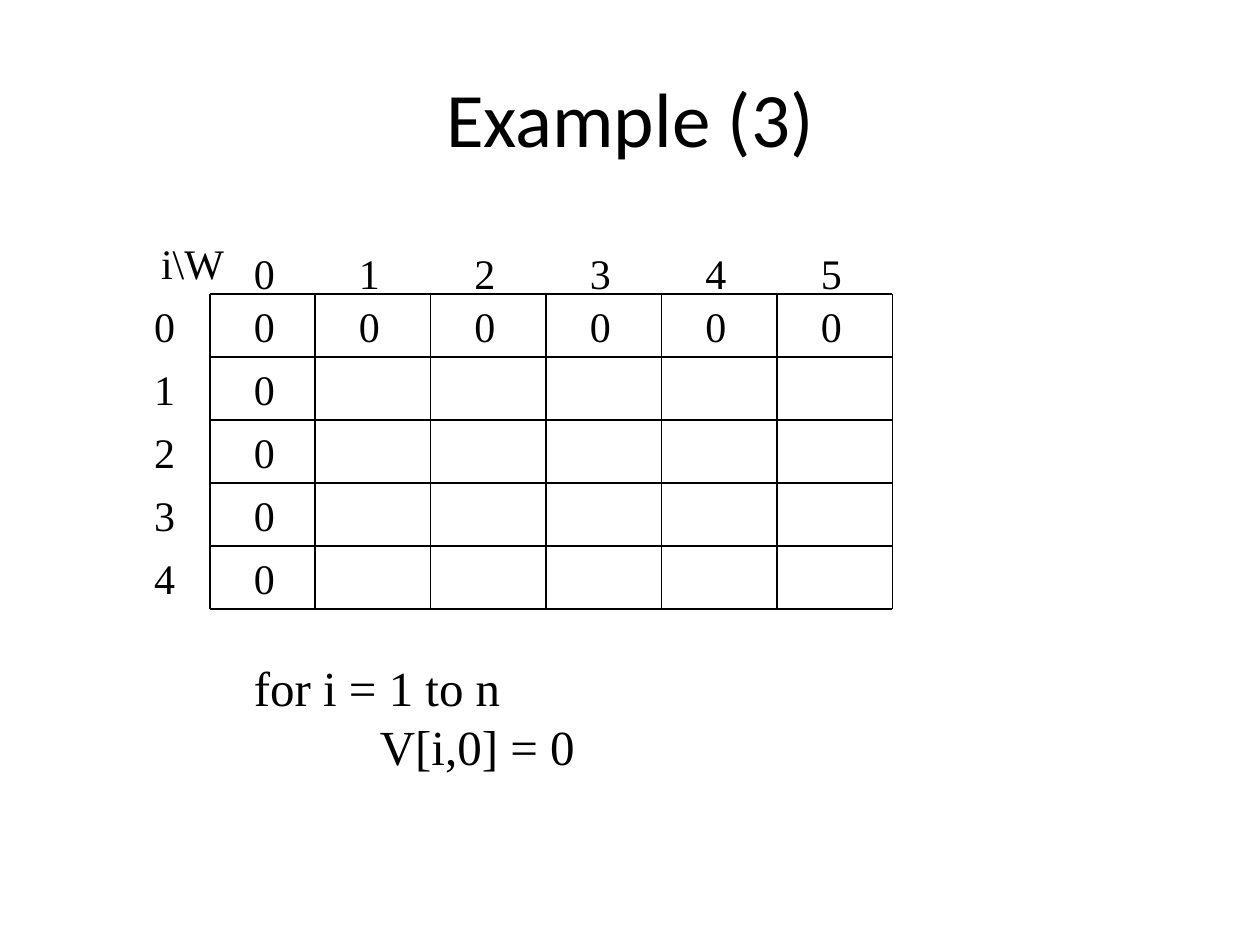
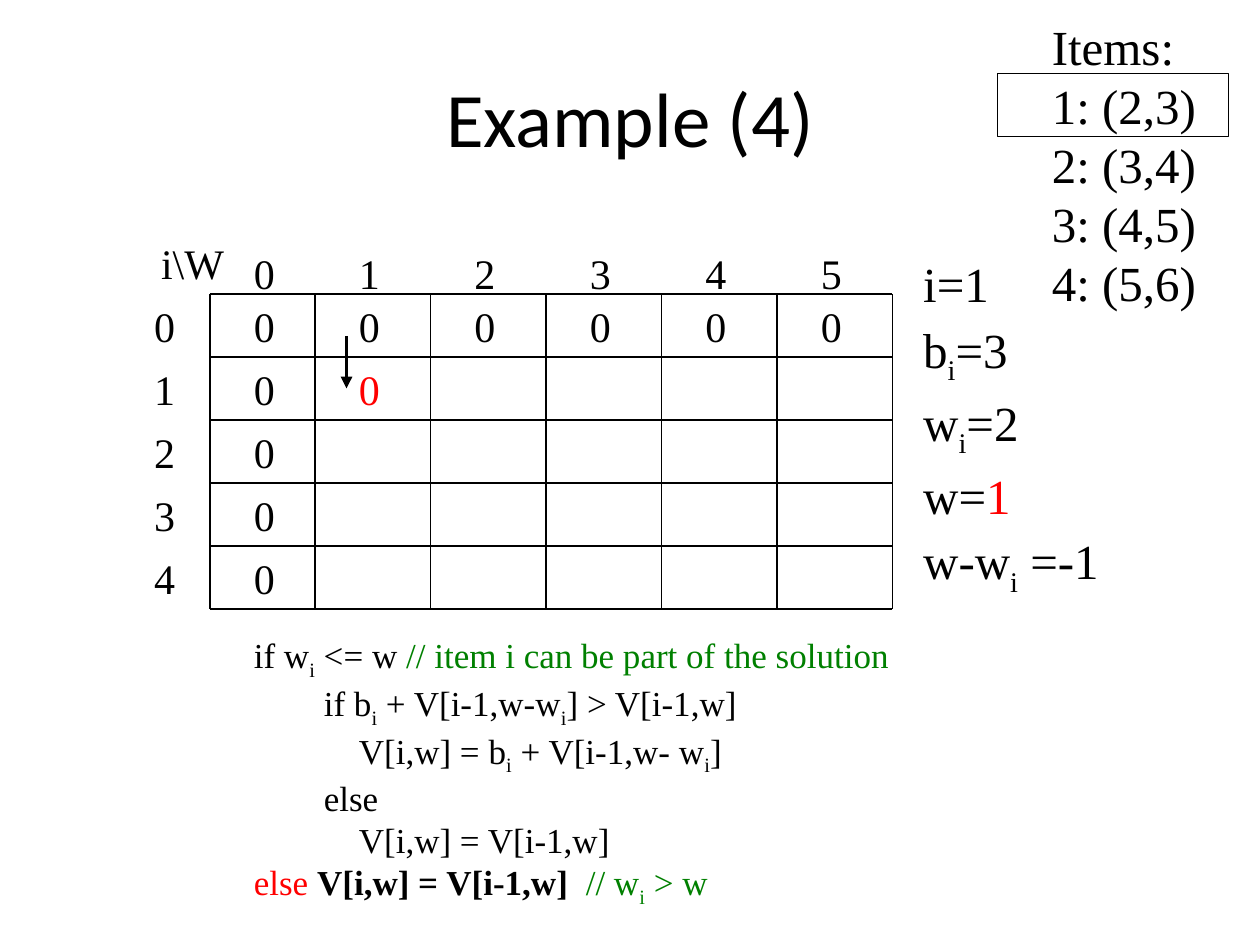
"""Build two slides that fill a knapsack table step by step."""
from lxml.etree import SubElement
from pptx import Presentation
from pptx.dml.color import RGBColor
from pptx.enum.shapes import MSO_CONNECTOR, MSO_SHAPE
from pptx.enum.text import MSO_ANCHOR as Anchor, MSO_AUTO_SIZE as AutoSize, PP_ALIGN as Align
from pptx.oxml.ns import qn
from pptx.util import Pt

BLACK, RED, GREEN = "000000", "FF0000", "008000"
TITLE_FONT, BODY_FONT = "Calibri", "Times New Roman"
COLUMN_EDGES = [120] + [180 + 66 * step for step in range(6)]
ROW_EDGES = [168 + 36 * step for step in range(6)]
CELL_INSET, HEADER_TOP, LABEL_LEFT = 18, 138, 81
DIGIT_WIDTH, DIGIT_HEIGHT = 26.5, 36


def color(value):
    """Turn a hex string into a colour."""
    return RGBColor.from_string(value)


def subscript(text="i", hex_color=BLACK):
    """Describe a lowered run."""
    return text, hex_color, {"subscript": True}


class SlideBuilder:
    """Hold the shared style and the current slide."""

    def __init__(self):
        """Start a presentation."""
        self.presentation = Presentation()
        self.presentation.slide_width = Pt(720)
        self.presentation.slide_height = Pt(540)
        self.slide = None

    def add_run(self, paragraph, piece, size, font_name=BODY_FONT):
        """Add a run given as a string or as text, colour and format."""
        text, hex_color, extra = ((piece, BLACK, {}) if isinstance(piece, str)
                                  else (*piece, {})[:3])
        run = paragraph.add_run()
        run.text = text
        style = {"name": font_name, "size": Pt(size), "bold": extra.get("bold", False)}
        for name, value in style.items():
            setattr(run.font, name, value)
        run.font.color.rgb = color(hex_color)
        if extra.get("subscript"):
            run._r.get_or_add_rPr().set("baseline", "-25000")

    def new_slide(self, title):
        """Add a slide with its title."""
        layout = self.presentation.slide_layouts[5]
        self.slide = self.presentation.slides.add_slide(layout)
        shape = self.slide.shapes.title
        place = {"left": 36, "top": 21.6, "width": 648, "height": 90}
        for name, value in place.items():
            setattr(shape, name, Pt(value))
        frame = shape.text_frame
        frame.auto_size = AutoSize.NONE
        frame.vertical_anchor = Anchor.MIDDLE
        frame.paragraphs[0].alignment = Align.CENTER
        self.add_run(frame.paragraphs[0], title, 44, TITLE_FONT)

    def text(self, left, top, width, height, lines, size, wrap=True, **paragraph_format):
        """Add a text box from lines given as an indent and its runs."""
        box = self.slide.shapes.add_textbox(Pt(left), Pt(top), Pt(width), Pt(height))
        frame = box.text_frame
        frame.word_wrap = wrap
        frame.auto_size = AutoSize.SHAPE_TO_FIT_TEXT
        for index, (indent, *pieces) in enumerate(lines):
            paragraph = frame.add_paragraph() if index else frame.paragraphs[0]
            for name, value in paragraph_format.items():
                setattr(paragraph, name, value)
            if indent:
                paragraph._p.get_or_add_pPr().set("marL", str(Pt(indent)))
            for piece in pieces:
                self.add_run(paragraph, piece, size)

    def digit(self, left, top, value, hex_color=BLACK):
        """Add one number of the table."""
        self.text(left, top, DIGIT_WIDTH, DIGIT_HEIGHT,
                  [(0, (str(value), hex_color))], 24, wrap=False)

    def cell(self, row, column, value, hex_color=BLACK):
        """Write a value into a table cell."""
        self.digit(COLUMN_EDGES[column] + CELL_INSET, ROW_EDGES[row], value, hex_color)

    def line(self, start, end, width=0.75, arrow=False):
        """Draw a straight line, with an arrowhead on request."""
        connector = self.slide.shapes.add_connector(
            MSO_CONNECTOR.STRAIGHT, *(Pt(value) for value in (*start, *end)))
        connector.line.color.rgb = color(BLACK)
        connector.line.width = Pt(width)
        if arrow:
            SubElement(connector.line._get_or_add_ln(), qn("a:tailEnd"), type="triangle")
        SubElement(connector._element.spPr, qn("a:effectLst"))

    def frame(self, left, top, width, height):
        """Draw an unfilled rectangle."""
        shape = self.slide.shapes.add_shape(
            MSO_SHAPE.RECTANGLE, Pt(left), Pt(top), Pt(width), Pt(height))
        shape.shadow.inherit = False
        shape.fill.background()
        shape.line.color.rgb = color(BLACK)
        shape.line.width = Pt(0.75)

    def knapsack_grid(self):
        """Draw the table with its headings and known zeros."""
        for x in COLUMN_EDGES:
            self.line((x, ROW_EDGES[0]), (x, ROW_EDGES[-1]))
        for y in ROW_EDGES:
            self.line((COLUMN_EDGES[0], y), (COLUMN_EDGES[-1], y))
        for column, x in enumerate(COLUMN_EDGES[:-1]):
            self.digit(x + CELL_INSET, HEADER_TOP, column)
            self.cell(0, column, 0)
        for row, y in enumerate(ROW_EDGES[:-1]):
            self.digit(LABEL_LEFT, y, row)
            if row:
                self.cell(row, 0, 0)
        self.text(83, 132, 54, 36, [(0, "i\\W")], 24, alignment=Align.CENTER)


def first_column_slide(builder):
    """Build the slide that fills the first column."""
    builder.new_slide("Example (3)")
    builder.knapsack_grid()
    builder.text(138, 372, 270, 74, [(0, "for i = 1 to n"), (72, "V[i,0] = 0")], 28)


def first_item_slide(builder):
    """Build the slide that tests the first item."""
    builder.new_slide("Example (4)")
    builder.knapsack_grid()
    builder.cell(1, 1, 0, RED)
    builder.line((198, 192), (198, 222), 2.25, arrow=True)

    items = [f"{number}: ({number + 1},{number + 2})" for number in range(1, 5)]
    builder.text(594, 6, 103.5, 175.5, [(0, item) for item in ["Items:", *items]],
                 28, wrap=False)
    builder.frame(570, 42, 132, 36)

    state = [(0, "i=1"),
             (0, "b", subscript(), "=3"),
             (0, "w", subscript(), "=2"),
             (0, "w=", ("1", RED)),
             (0, "w-w", subscript(), " =-1")]
    builder.text(520.5, 138, 116, 192, state, 28, line_spacing=1.1)

    code = [(0, "if w", subscript(), " <= w ",
             ("// item i can be part of the solution", GREEN)),
            (40, "if b", subscript(), " + V[i-1,w-w", subscript(), "] > V[i-1,w]"),
            (60, "V[i,w] = b", subscript(), " + V[i-1,w- w", subscript(), "]"),
            (40, "else"),
            (60, "V[i,w] = V[i-1,w]"),
            (0, ("else ", RED), ("V[i,w] = V[i-1,w]  ", BLACK, {"bold": True}),
             ("// w", GREEN), subscript(hex_color=GREEN), (" > w", GREEN))]
    builder.text(138, 358.5, 546, 151, code, 20)


def main():
    """Build and save both slides."""
    builder = SlideBuilder()
    first_column_slide(builder)
    first_item_slide(builder)
    builder.presentation.save("out.pptx")


if __name__ == "__main__":
    main()
